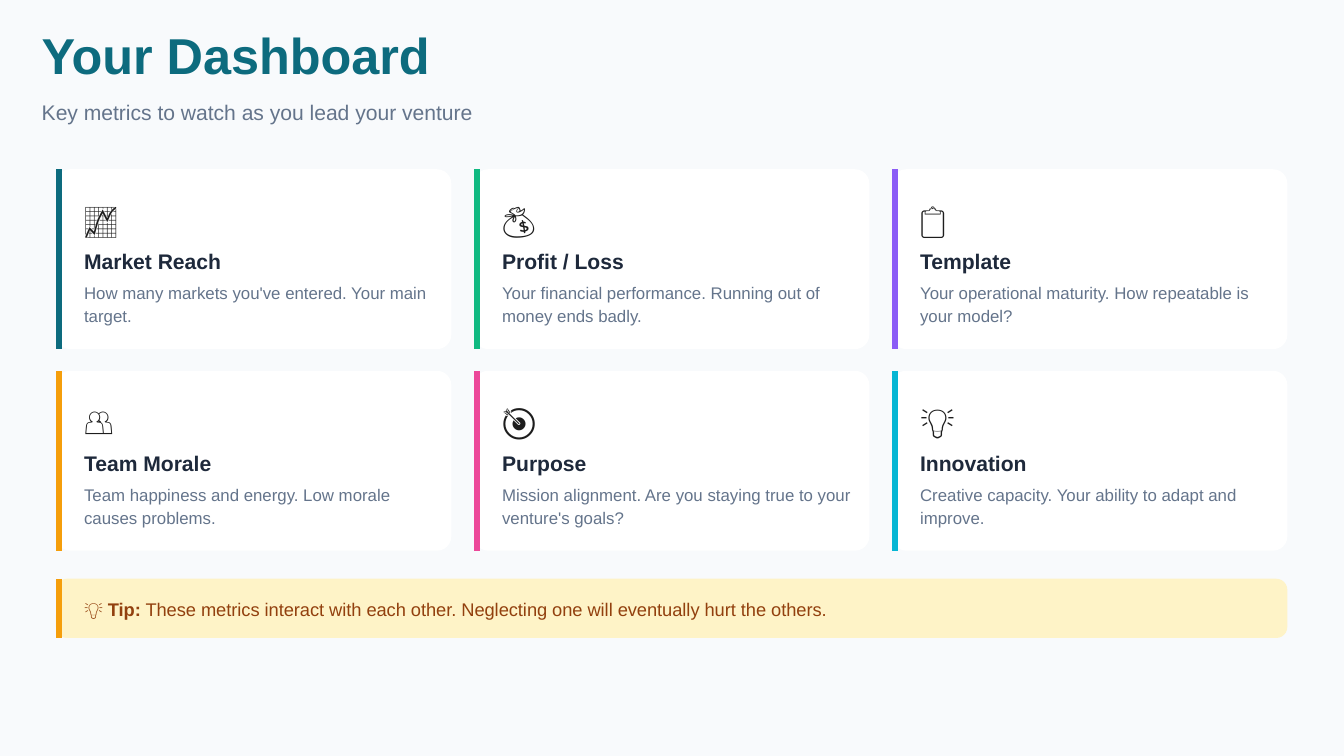
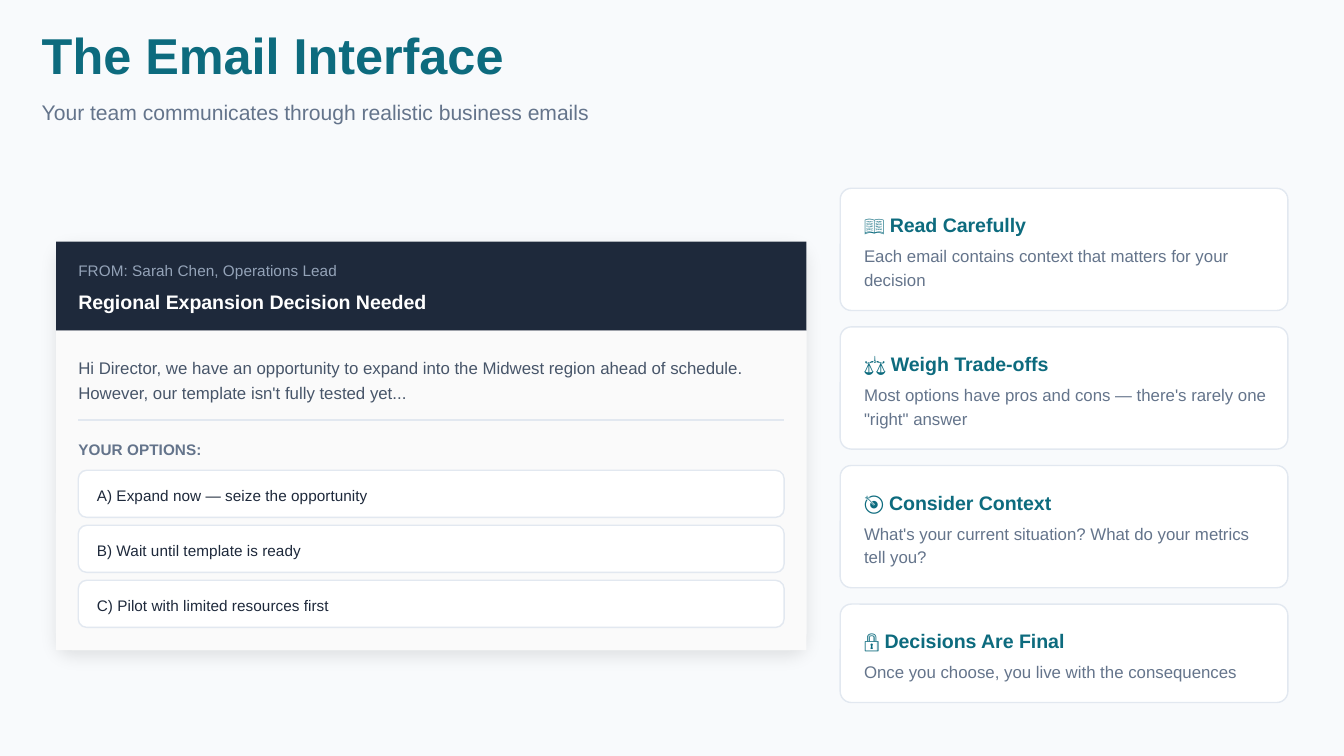
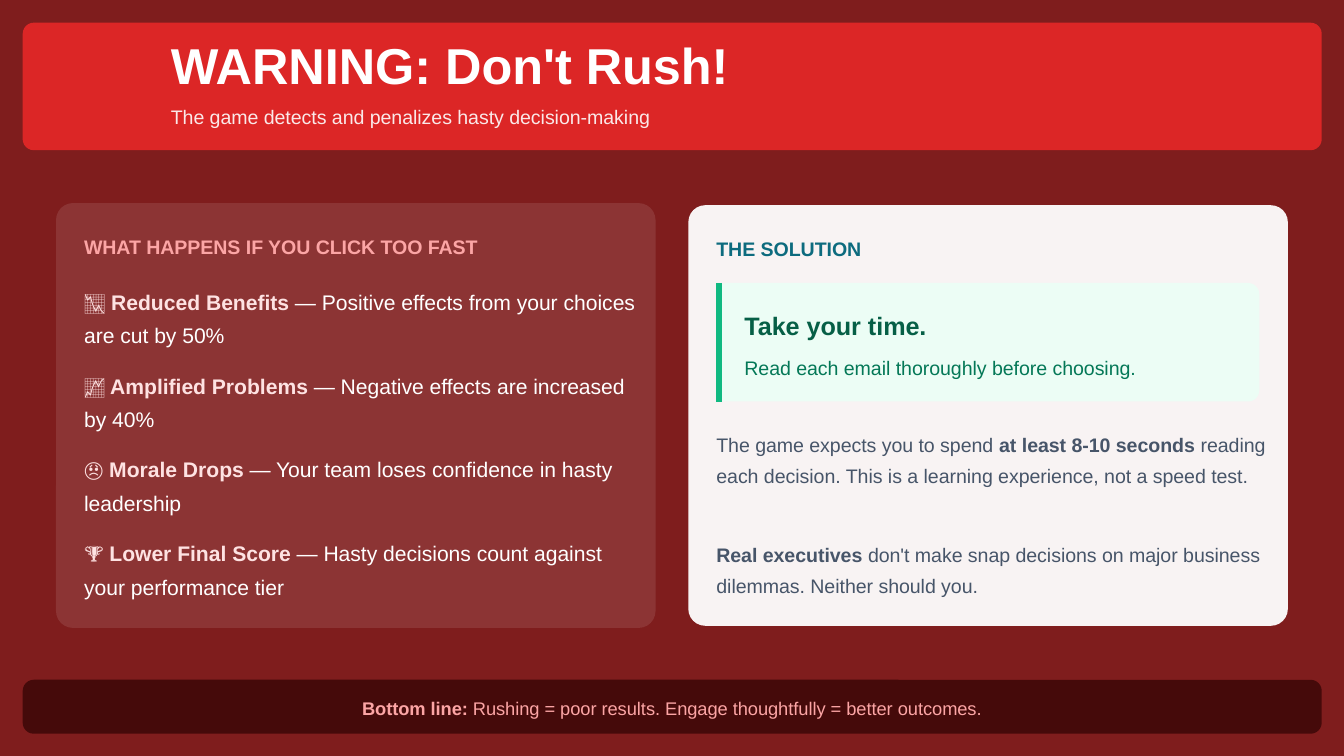
from dataclasses import dataclass

from pptx import Presentation
from pptx.dml.color import RGBColor
from pptx.enum.shapes import MSO_CONNECTOR as Link, MSO_SHAPE as Preset
from pptx.enum.text import PP_ALIGN as Align
from pptx.oxml.ns import qn
from pptx.oxml.xmlchemy import OxmlElement as make_element
from pptx.util import Cm, Pt


@dataclass(frozen=True)
class Theme:
    font: str = "Arial"
    # Colours
    page: str = "F8FAFC"
    white: str = "FFFFFF"
    black: str = "000000"
    teal: str = "0D6B7E"
    green: str = "10B981"
    violet: str = "8B5CF6"
    amber: str = "F59E0B"
    pink: str = "EC4899"
    cyan: str = "06B6D4"
    icon: str = "1D1D1D"
    navy: str = "1E293B"
    slate: str = "475569"
    muted: str = "64748B"
    pale: str = "94A3B8"
    border: str = "E2E8F0"
    mail: str = "FAFAFA"
    tip_fill: str = "FEF3C7"
    tip_text: str = "92400E"
    alarm_page: str = "7F1D1D"
    alarm: str = "DC2626"
    alarm_dark: str = "450A0A"
    rose: str = "FCA5A5"
    blush: str = "FEE2E2"
    mint: str = "ECFDF5"
    forest: str = "065F46"
    emerald: str = "047857"
    # Type sizes in points
    title: float = 27
    symbol: float = 18
    callout: float = 13.5
    lead: float = 11.25
    heading: float = 10.5
    note: float = 9.75
    body: float = 9
    small: float = 8.25
    # Corner radii in centimetres
    tight: float = 0.16
    soft: float = 0.21
    card: float = 0.27
    wide: float = 0.32


THEME = Theme()
MARGIN, CONTENT_WIDTH = 1.06, 23.27
INSET = 0.53


def add_alpha(fill, percent):
    """Make a solid fill translucent."""
    if percent < 100:
        alpha = make_element("a:alpha")
        alpha.set("val", str(percent * 1000))
        fill._xPr.find(qn("a:solidFill"))[0].append(alpha)


def write_text(frame, text, *, size, color, bold=False, strong_color=None,
               leading=1.4, before=0, after=0, align=Align.LEFT, alpha=100):
    """Fill a frame with one paragraph; parts between asterisks are bold."""
    paragraph = frame.paragraphs[0]
    paragraph.alignment = align
    paragraph.line_spacing = Pt(size * leading)
    paragraph.space_before, paragraph.space_after = Pt(before), Pt(after)
    for index, part in enumerate(text.split("*")):
        if not part:
            continue
        strong = index % 2 == 1
        run = paragraph.add_run()
        run.text = part
        font = run.font
        font.name, font.size, font.bold = THEME.font, Pt(size), bold or strong
        font.fill.solid()
        tint = strong_color if strong and strong_color else color
        font.fill.fore_color.rgb = RGBColor.from_string(tint)
        add_alpha(font.fill, alpha)


class Deck:
    """Holds the style and the slide being built; lengths are centimetres."""

    def __init__(self, theme):
        self.theme = theme
        self.show = Presentation()
        self.show.slide_width, self.show.slide_height = Cm(25.4), Cm(14.29)
        self.slide = None

    def new_slide(self, color):
        self.slide = self.show.slides.add_slide(self.show.slide_layouts[6])
        fill = self.slide.background.fill
        fill.solid()
        fill.fore_color.rgb = RGBColor.from_string(color)

    def text(self, x, y, width, height, text, **style):
        frame = self.slide.shapes.add_textbox(
            Cm(x), Cm(y), Cm(width), Cm(height)).text_frame
        frame.word_wrap = True
        frame.margin_left = frame.margin_right = 0
        frame.margin_top = frame.margin_bottom = 0
        write_text(frame, text, **style)

    def panel(self, x, y, width, height, fill, radius=0, border=None,
              alpha=100, shadow=False):
        preset = Preset.ROUNDED_RECTANGLE if radius else Preset.RECTANGLE
        panel = self.slide.shapes.add_shape(
            preset, Cm(x), Cm(y), Cm(width), Cm(height))
        if radius:
            panel.adjustments[0] = radius / min(width, height)
        panel.fill.solid()
        panel.fill.fore_color.rgb = RGBColor.from_string(fill)
        add_alpha(panel.fill, alpha)
        if border:
            panel.line.color.rgb = RGBColor.from_string(border)
            panel.line.width = Pt(0.75)
        else:
            panel.line.fill.background()
        panel.shadow.inherit = False
        if shadow:
            self.drop_shadow(panel)

    def drop_shadow(self, panel):
        outer = make_element("a:outerShdw")
        for key, value in (("blurRad", Pt(9)), ("dist", Pt(3)),
                           ("dir", 90 * 60000), ("rotWithShape", 0)):
            outer.set(key, str(int(value)))
        tone = make_element("a:srgbClr")
        tone.set("val", self.theme.black)
        alpha = make_element("a:alpha")
        alpha.set("val", "10000")
        tone.append(alpha)
        outer.append(tone)
        panel._element.spPr.find(qn("a:effectLst")).append(outer)

    def line(self, x1, y1, x2, y2, color, weight):
        line = self.slide.shapes.add_connector(
            Link.STRAIGHT, Cm(x1), Cm(y1), Cm(x2), Cm(y2))
        line.line.color.rgb = RGBColor.from_string(color)
        line.line.width = Pt(weight)
        line._element.spPr.append(make_element("a:effectLst"))

    def accent_panel(self, x, y, width, height, fill, radius, accent):
        """Rounded panel with a coloured bar along its left side."""
        self.panel(x, y, width, height, fill, radius)
        self.line(x + 0.05, y, x + 0.05, y + height, accent, 3)

    def header(self, title, subtitle):
        t = self.theme
        self.text(0.79, 0.64, 12.17, 0.97, title, size=t.title, color=t.teal,
                  bold=True, leading=1)
        self.text(0.79, 1.8, 24.28, 0.56, subtitle, size=t.lead,
                  color=t.muted, before=6)


def build_dashboard(deck):
    t = deck.theme
    deck.new_slide(t.page)
    deck.header("Your Dashboard", "Key metrics to watch as you lead your venture")

    # Metric cards, three to a row
    metrics = [
        ("📈", "Market Reach", t.teal,
         "How many markets you've entered. Your main target."),
        ("💰", "Profit / Loss", t.green,
         "Your financial performance. Running out of money ends badly."),
        ("📋", "Template", t.violet,
         "Your operational maturity. How repeatable is your model?"),
        ("👥", "Team Morale", t.amber,
         "Team happiness and energy. Low morale causes problems."),
        ("🎯", "Purpose", t.pink,
         "Mission alignment. Are you staying true to your venture's goals?"),
        ("💡", "Innovation", t.cyan,
         "Creative capacity. Your ability to adapt and improve."),
    ]
    for index, (icon, name, accent, meaning) in enumerate(metrics):
        row, column = divmod(index, 3)
        x, y = MARGIN + column * 7.9, 3.2 + row * 3.81
        deck.accent_panel(x, y, 7.47, 3.4, t.white, t.card, accent)
        deck.text(x + INSET, y + 0.43, 6.65, 0.89, icon, size=t.symbol,
                  color=t.icon, after=3)
        deck.text(x + INSET, y + 1.42, 6.65, 0.56, name, size=t.lead,
                  color=t.navy, bold=True, after=3)
        deck.text(x + INSET, y + 2.08, 6.65, 0.89, meaning, size=t.body,
                  color=t.muted)

    # Tip
    deck.accent_panel(MARGIN, 10.94, CONTENT_WIDTH, 1.12, t.tip_fill, t.soft,
                      t.amber)
    deck.text(MARGIN + INSET, 11.25, 22.78, 0.48,
              "*💡 Tip:* These metrics interact with each other. "
              "Neglecting one will eventually hurt the others.",
              size=t.note, color=t.tip_text)


def build_email(deck):
    t = deck.theme
    deck.new_slide(t.page)
    deck.header("The Email Interface",
                "Your team communicates through realistic business emails")

    # Email window
    top, width, head, body = 4.57, 14.18, 1.68, 6.04
    inner, inner_width, text_width = 1.48, 13.34, 13.6
    deck.panel(MARGIN, top, width, head + body, t.white, t.wide, shadow=True)
    deck.panel(MARGIN, top, width, head, t.navy)
    deck.text(inner, 4.88, text_width, 0.41, "FROM: Sarah Chen, Operations Lead",
              size=t.small, color=t.pale, after=3)
    deck.text(inner, 5.41, text_width, 0.51, "Regional Expansion Decision Needed",
              size=t.heading, color=t.white, bold=True)
    deck.panel(MARGIN, top + head, width, body, t.mail)
    deck.text(inner, 6.66, text_width, 0.97,
              "Hi Director, we have an opportunity to expand into the Midwest "
              "region ahead of schedule. However, our template isn't fully "
              "tested yet...",
              size=t.body, color=t.slate, leading=1.5, after=9)
    deck.line(inner, 7.94, inner + inner_width, 7.94, t.border, 0.75)

    # Options in the email
    deck.text(inner, 8.27, text_width, 0.41, "YOUR OPTIONS:", size=t.small,
              color=t.muted, bold=True, after=6)
    options = ["A) Expand now — seize the opportunity",
               "B) Wait until template is ready",
               "C) Pilot with limited resources first"]
    for index, option in enumerate(options):
        y = 8.89 + index * 1.04
        deck.panel(inner, y, inner_width, 0.89, t.white, t.tight, t.border)
        deck.text(inner + 0.35, y + 0.24, 12.9, 0.41, option, size=t.small,
                  color=t.navy)

    # Advice cards, as tall as their number of lines needs
    advice = [
        ("📖 Read Carefully", 2,
         "Each email contains context that matters for your decision"),
        ("⚖️ Weigh Trade-offs", 2,
         "Most options have pros and cons — there's rarely one \"right\" answer"),
        ("🎯 Consider Context", 2,
         "What's your current situation? What do your metrics tell you?"),
        ("🔒 Decisions Are Final", 1,
         "Once you choose, you live with the consequences"),
    ]
    x, y = 15.88, 3.56
    for name, lines, detail in advice:
        height = 1.41 + lines * 0.45
        deck.panel(x, y, 8.46, height, t.white, t.soft, t.border)
        deck.text(x + 0.45, y + 0.4, 7.72, 0.51, name, size=t.heading,
                  color=t.teal, bold=True, after=3)
        deck.text(x + 0.45, y + 1.03, 7.72, lines * 0.44, detail, size=t.body,
                  color=t.muted)
        y += height + 0.31


def build_warning(deck):
    t = deck.theme
    deck.new_slide(t.alarm_page)
    band_x, band_width = 0.43, 24.55
    panel_width, text_width = 11.33, 10.46

    # Banner
    deck.panel(band_x, 0.43, band_width, 2.41, t.alarm, t.soft)
    deck.text(3.23, 0.84, 10.74, 0.97, "WARNING: Don't Rush!", size=t.title,
              color=t.white, bold=True, leading=1)
    deck.text(3.23, 1.9, 10.74, 0.51,
              "The game detects and penalizes hasty decision-making",
              size=t.heading, color=t.white, alpha=90, before=3)

    # Penalties
    deck.panel(MARGIN, 3.84, panel_width, 8.03, t.white, t.wide, alpha=10)
    left = MARGIN + INSET
    deck.text(left, 4.37, text_width, 0.51, "WHAT HAPPENS IF YOU CLICK TOO FAST",
              size=t.heading, color=t.rose, bold=True, after=12)
    penalties = [
        "*📉 Reduced Benefits* — Positive effects from your choices are cut by 50%",
        "*📈 Amplified Problems* — Negative effects are increased by 40%",
        "*😞 Morale Drops* — Your team loses confidence in hasty leadership",
        "*🏆 Lower Final Score* — Hasty decisions count against your "
        "performance tier",
    ]
    for index, penalty in enumerate(penalties):
        deck.text(left, 5.31 + index * 1.585, text_width, 1.27, penalty,
                  size=t.lead, color=t.white, strong_color=t.blush, leading=1.6)

    # Solution
    deck.panel(13.01, 3.88, panel_width, 7.95, t.white, t.wide, alpha=95)
    left = 13.01 + INSET
    deck.text(left, 4.4, text_width, 0.51, "THE SOLUTION", size=t.heading,
              color=t.teal, bold=True, after=12)
    deck.accent_panel(left, 5.35, 10.26, 2.24, t.mint, t.soft, t.green)
    deck.text(left + INSET, 5.77, 9.5, 0.66, "Take your time.", size=t.callout,
              color=t.forest, bold=True)
    deck.text(left + INSET, 6.65, 9.5, 0.51,
              "Read each email thoroughly before choosing.", size=t.heading,
              color=t.emerald, before=6)
    deck.text(left, 8.03, text_width, 1.78,
              "The game expects you to spend *at least 8-10 seconds* reading "
              "each decision. This is a learning experience, not a speed test.",
              size=t.heading, color=t.slate, leading=1.6, after=9)
    deck.text(left, 10.11, text_width, 1.19,
              "*Real executives* don't make snap decisions on major business "
              "dilemmas. Neither should you.",
              size=t.heading, color=t.slate, leading=1.6)

    # Bottom line
    deck.panel(band_x, 12.85, band_width, 1.02, t.alarm_dark, t.soft)
    deck.text(1.25, 13.11, 22.89, 0.48,
              "*Bottom line:* Rushing = poor results. Engage thoughtfully = "
              "better outcomes.",
              size=t.note, color=t.rose, align=Align.CENTER)


def main():
    deck = Deck(THEME)
    build_dashboard(deck)
    build_email(deck)
    build_warning(deck)
    deck.show.save("out.pptx")


if __name__ == "__main__":
    main()
